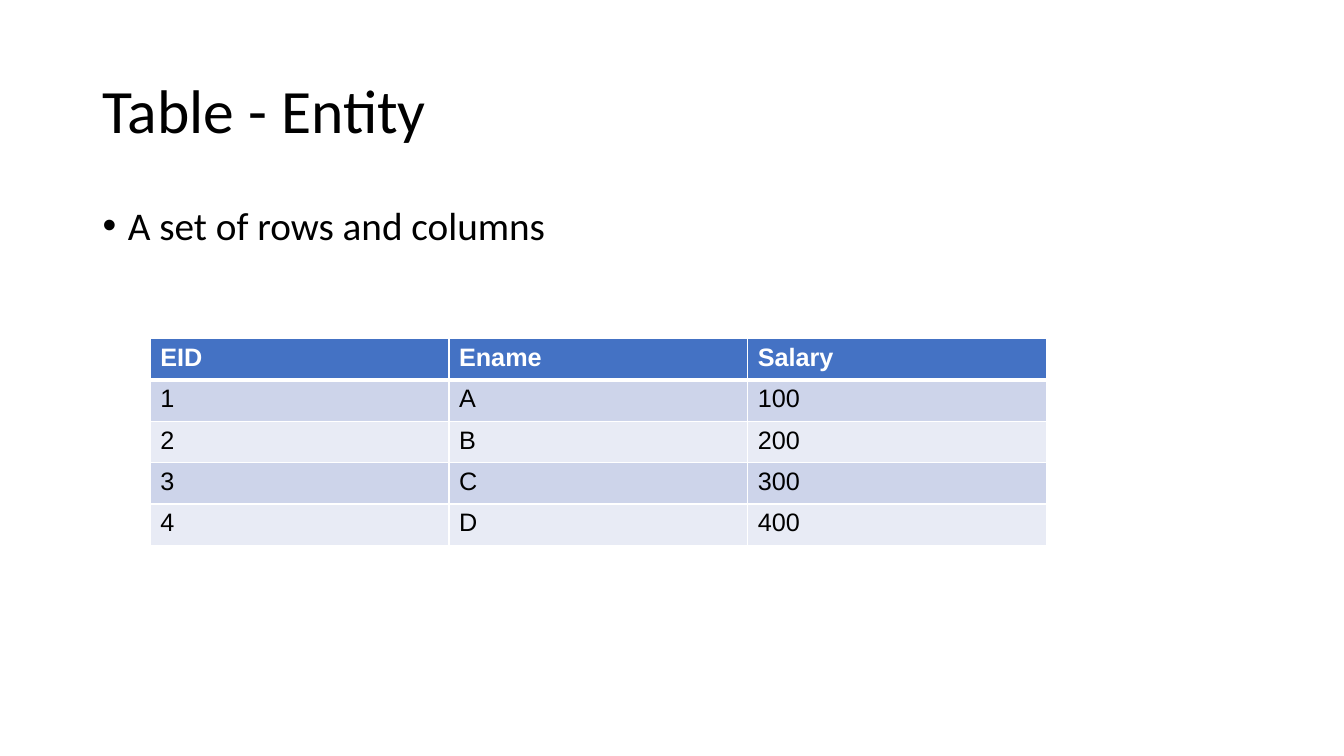
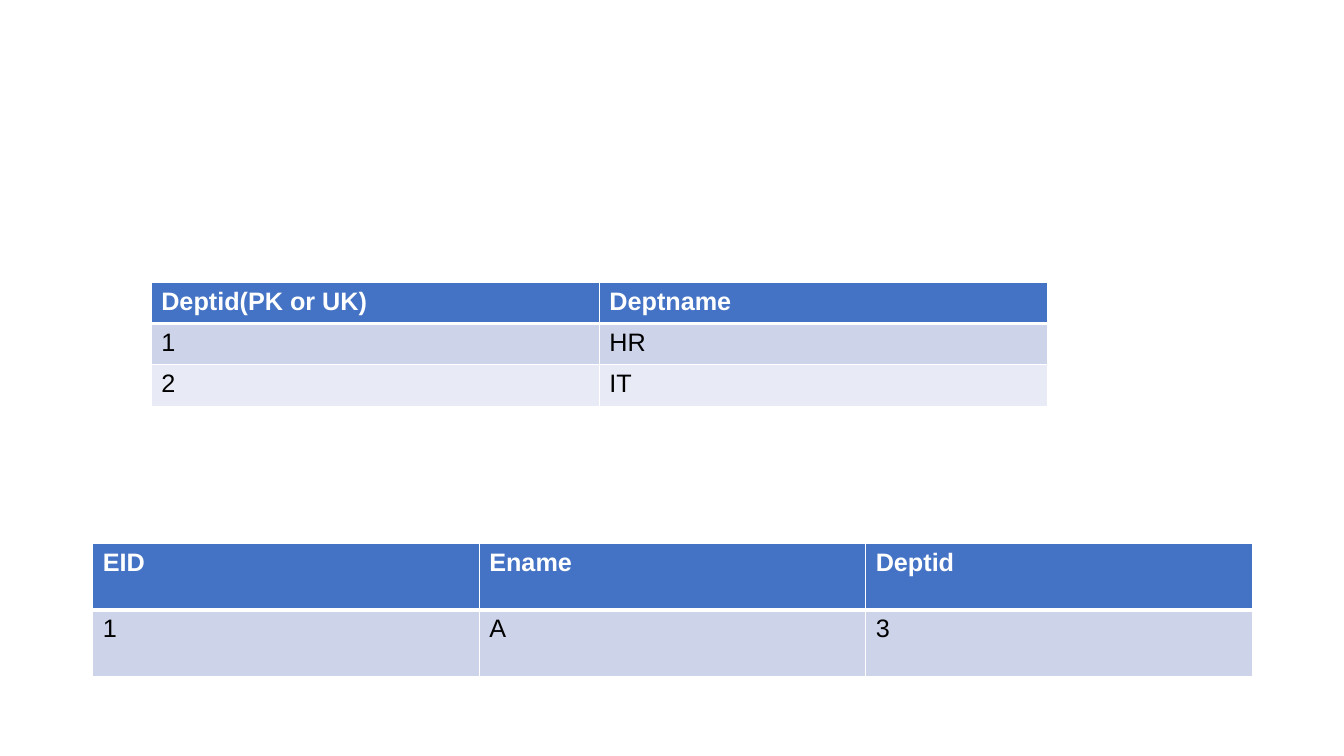
from lxml import etree
from pptx import Presentation
from pptx.dml.color import RGBColor as RGB
from pptx.enum.text import MSO_ANCHOR as Anchor
from pptx.oxml.ns import qn
from pptx.util import Inches, Pt

COLORS = {
    "text": "000000",
    "header": "4472C4",
    "odd_row": "CDD4EA",
    "even_row": "E8EBF5",
    "white": "FFFFFF",
}
MARGIN, CONTENT_WIDTH = 0.92, 11.5


def add_text(slide, text, top, height, size, anchor):
    box = slide.shapes.add_textbox(
        Inches(MARGIN), Inches(top), Inches(CONTENT_WIDTH), Inches(height))
    frame = box.text_frame
    frame.word_wrap = True
    frame.vertical_anchor = anchor
    frame.text = text
    paragraph = frame.paragraphs[0]
    paragraph.line_spacing = 0.9
    font = paragraph.runs[0].font
    font.name, font.size = "Calibri", Pt(size)
    font.color.rgb = RGB.from_string(COLORS["text"])
    return paragraph


def add_data_table(slide, rows, left, top, width, row_height):
    table = slide.shapes.add_table(
        len(rows), len(rows[0]), Inches(left), Inches(top),
        Inches(width), Inches(row_height * len(rows))).table
    for row_index, values in enumerate(rows):
        is_header = row_index == 0
        band = "header" if is_header else "odd_row" if row_index % 2 else "even_row"
        borders = {"L": 1, "R": 1, "T": 3 if row_index == 1 else 1, "B": 3 if is_header else 1}
        for column_index, value in enumerate(values):
            cell = table.cell(row_index, column_index)
            properties = cell._tc.get_or_add_tcPr()
            for side, weight in borders.items():
                line = etree.SubElement(properties, qn(f"a:ln{side}"), w=str(Pt(weight)))
                line_fill = etree.SubElement(line, qn("a:solidFill"))
                etree.SubElement(line_fill, qn("a:srgbClr"), val=COLORS["white"])
            cell.fill.solid()
            cell.fill.fore_color.rgb = RGB.from_string(COLORS[band])
            cell.text_frame.text = value
            font = cell.text_frame.paragraphs[0].runs[0].font
            font.name, font.size, font.bold = "Arial", Pt(18), is_header
            font.color.rgb = RGB.from_string(COLORS["white" if is_header else "text"])


prs = Presentation()
prs.slide_width, prs.slide_height = Inches(13.33), Inches(7.5)
blank = prs.slide_layouts[6]

entity_slide = prs.slides.add_slide(blank)
add_text(entity_slide, "Table - Entity", 0.4, 1.45, 44, Anchor.MIDDLE)
definition = add_text(entity_slide, "A set of rows and columns", 2, 4.76, 28, Anchor.TOP)
indent = definition._p.get_or_add_pPr()
indent.set("marL", str(Inches(0.25)))
indent.set("indent", str(Inches(-0.25)))
etree.SubElement(indent, qn("a:buFont"), typeface="Arial")
etree.SubElement(indent, qn("a:buChar"), char="•")

employees = [
    ("EID", "Ename", "Salary"),
    ("1", "A", "100"),
    ("2", "B", "200"),
    ("3", "C", "300"),
    ("4", "D", "400"),
]
add_data_table(entity_slide, employees, 1.49, 3.36, 8.89, 0.41)

relation_slide = prs.slides.add_slide(blank)
staff = [("EID", "Ename", "Deptid"), ("1", "A", "3")]
departments = [("Deptid(PK or UK)", "Deptname"), ("1", "HR"), ("2", "IT")]
add_data_table(relation_slide, staff, MARGIN, 5.39, CONTENT_WIDTH, 0.66)
add_data_table(relation_slide, departments, 1.5, 2.8, 8.89, 0.41)

prs.save("out.pptx")
